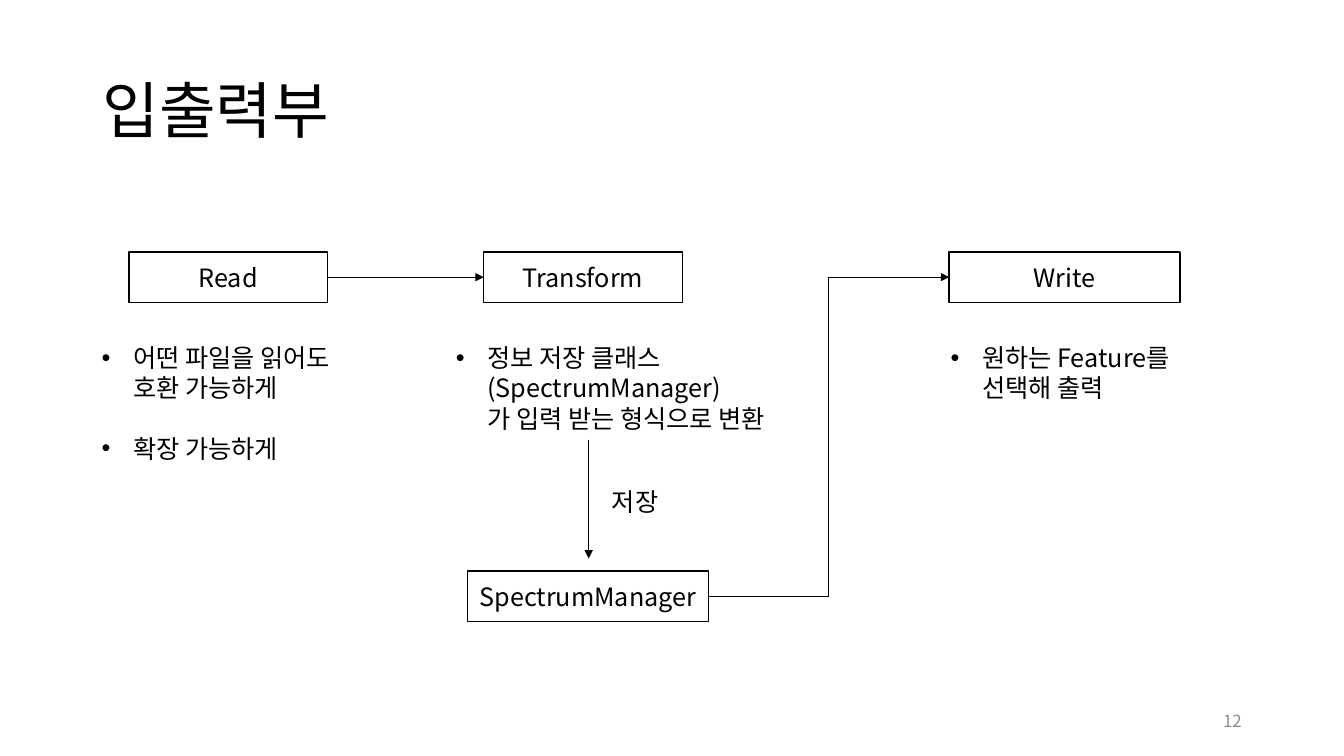
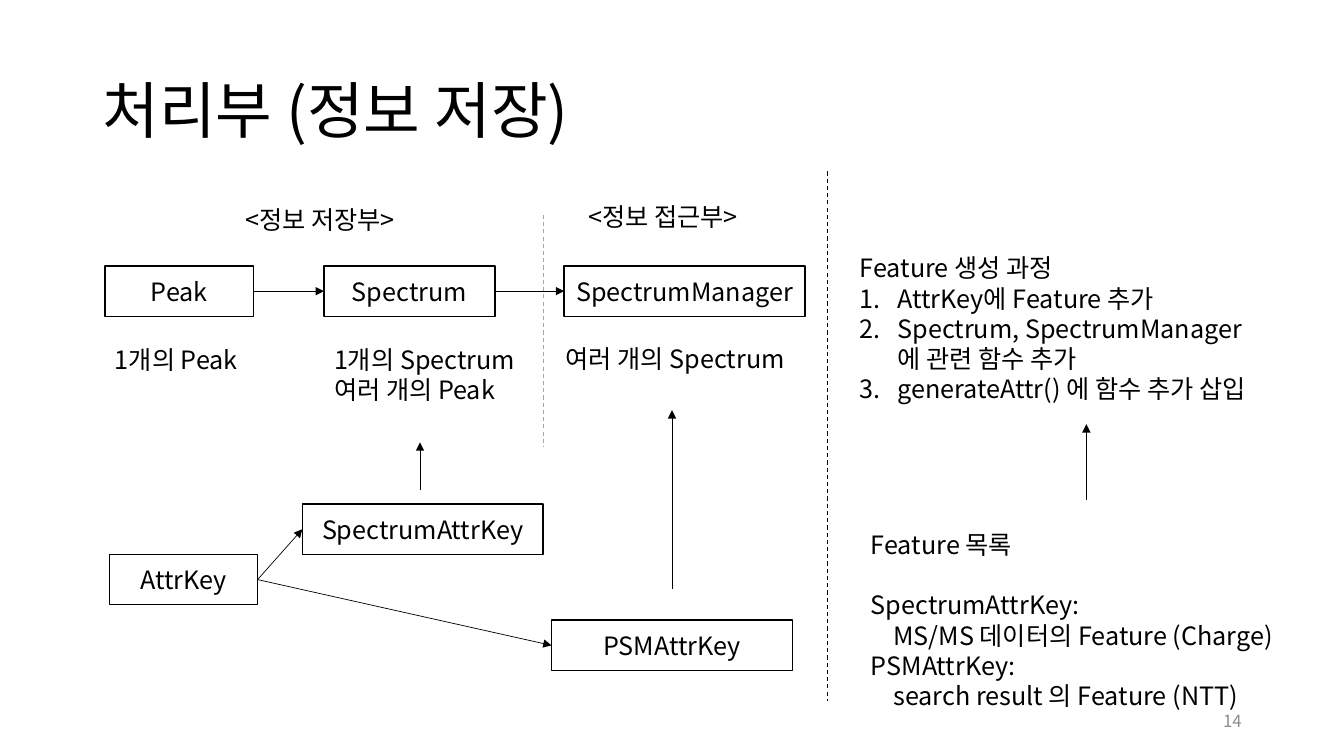
from lxml import etree
from pptx import Presentation
from pptx.dml.color import RGBColor
from pptx.enum.dml import MSO_LINE
from pptx.enum.shapes import MSO_CONNECTOR, MSO_SHAPE
from pptx.enum.text import MSO_ANCHOR, MSO_AUTO_SIZE, PP_ALIGN
from pptx.oxml.ns import qn
from pptx.util import Pt

STRAIGHT, ELBOW = MSO_CONNECTOR.STRAIGHT, MSO_CONNECTOR.ELBOW
RECT = MSO_SHAPE.RECTANGLE
DASH = MSO_LINE.DASH
MIDDLE = MSO_ANCHOR.MIDDLE
FIT_TEXT = MSO_AUTO_SIZE.SHAPE_TO_FIT_TEXT
LEFT, CENTER, RIGHT = PP_ALIGN.LEFT, PP_ALIGN.CENTER, PP_ALIGN.RIGHT
LEFT_SIDE, RIGHT_SIDE = 1, 3

COLORS = {"ink": "000000", "grey": "8C8C8C", "divider": "A5A5A5"}
FONT = "Noto Sans CJK KR"
TITLE_SIZE, TEXT_SIZE, NUMBER_SIZE = 44, 18, 12
LINE_HEIGHT = 1.2 * TEXT_SIZE
BOX_H = 36
MANAGER_W = 172
BULLET_INDENT, NUMBER_INDENT, SUB_INDENT = 22.5, 27, 16


def color(name):
    return RGBColor.from_string(COLORS[name])


def format_runs(p, size=TEXT_SIZE, ink="ink"):
    for r in p.runs:
        r.font.size = Pt(size)
        r.font.name = FONT
        r.font.color.rgb = color(ink)
        etree.SubElement(r._r.get_or_add_rPr(), qn("a:ea"), typeface=FONT)


def indent(p, left, hanging=0):
    pPr = p._p.get_or_add_pPr()
    pPr.set("marL", str(Pt(left)))
    pPr.set("indent", str(-Pt(hanging)))
    return pPr


def bullet(p):
    pPr = indent(p, BULLET_INDENT, BULLET_INDENT)
    etree.SubElement(pPr, qn("a:buFont"), typeface="Arial")
    etree.SubElement(pPr, qn("a:buChar"), char="•")


def number(p):
    pPr = indent(p, NUMBER_INDENT, NUMBER_INDENT)
    etree.SubElement(pPr, qn("a:buAutoNum"), type="arabicPeriod")


def sub_item(p):
    indent(p, SUB_INDENT)


def add_text(s, x, y, w, h, lines, styles=None, gap_before=()):
    """Add a text box; styles maps line indexes to paragraph functions,
    and gap_before lists the lines set one line height apart."""
    tf = s.shapes.add_textbox(Pt(x), Pt(y), Pt(w), Pt(h)).text_frame
    tf.word_wrap = True
    tf.auto_size = FIT_TEXT
    for i, line in enumerate(lines):
        p = tf.paragraphs[0] if i == 0 else tf.add_paragraph()
        p.text = line
        p.line_spacing = Pt(LINE_HEIGHT)
        if i in gap_before:
            p.space_before = Pt(LINE_HEIGHT)
        if styles and i in styles:
            styles[i](p)
        format_runs(p)


def add_bullets(s, x, w, h, lines, gap_before=()):
    styles = {i: bullet for i in range(len(lines))}
    add_text(s, x, 241, w, h, lines, styles, gap_before)


def add_box(s, x, y, w, label):
    sp = s.shapes.add_shape(RECT, Pt(x), Pt(y), Pt(w), Pt(BOX_H))
    sp.shadow.inherit = False
    sp.fill.background()
    sp.line.color.rgb = color("ink")
    sp.line.width = Pt(1)
    tf = sp.text_frame
    tf.margin_left = tf.margin_right = 0
    tf.vertical_anchor = MIDDLE
    tf.text = label
    p = tf.paragraphs[0]
    p.alignment = CENTER
    p.line_spacing = Pt(LINE_HEIGHT)
    format_runs(p)
    return sp


def add_line(s, x1, y1, x2, y2, ink="ink", width=0.75, kind=STRAIGHT):
    line = s.shapes.add_connector(kind, Pt(x1), Pt(y1), Pt(x2), Pt(y2))
    line.line.color.rgb = color(ink)
    line.line.width = Pt(width)
    etree.SubElement(line._element.spPr, qn("a:effectLst"))
    return line


def add_divider(s, x, top, bottom, ink):
    add_line(s, x, top, x, bottom, ink).line.dash_style = DASH


def add_arrow(s, x1, y1, x2, y2, kind=STRAIGHT):
    arrow = add_line(s, x1, y1, x2, y2, width=0.5, kind=kind)
    etree.SubElement(arrow.line._get_or_add_ln(), qn("a:tailEnd"), type="triangle")
    return arrow


def link(s, source, target, kind=STRAIGHT):
    """Join the right side of source to the left side of target."""
    arrow = add_arrow(s, 0, 0, 0, 0, kind)
    arrow.begin_connect(source, RIGHT_SIDE)
    arrow.end_connect(target, LEFT_SIDE)


def add_slide(prs, title, page):
    s = prs.slides.add_slide(prs.slide_layouts[5])
    sp = s.shapes.title
    sp.left, sp.top, sp.width, sp.height = Pt(66), Pt(29), Pt(828), Pt(104)
    tf = sp.text_frame
    tf.text = title
    tf.vertical_anchor = MIDDLE
    p = tf.paragraphs[0]
    p.alignment = LEFT
    p.line_spacing = 0.9
    format_runs(p, TITLE_SIZE)

    tf = s.shapes.add_textbox(Pt(678), Pt(500.5), Pt(216), Pt(29)).text_frame
    tf.word_wrap = True
    tf.vertical_anchor = MIDDLE
    tf.text = page
    p = tf.paragraphs[0]
    p.alignment = RIGHT
    format_runs(p, NUMBER_SIZE, "grey")
    return s


def build_io_slide(prs):
    s = add_slide(prs, "입출력부", "12")
    read = add_box(s, 92, 180, 142, "Read")
    transform = add_box(s, 345.5, 180, 142, "Transform")
    write = add_box(s, 678, 180, 165, "Write")
    manager = add_box(s, 334, 408, MANAGER_W, "SpectrumManager")

    add_bullets(s, 65.5, 196, 94,
                ["어떤 파일을 읽어도\n호환 가능하게", "확장 가능하게"], gap_before=(1,))
    add_bullets(s, 318.5, 263, 73,
                ["정보 저장 클래스\n(SpectrumManager)\n가 입력 받는 형식으로 변환"])
    add_bullets(s, 672, 177, 51, ["원하는 Feature를\n선택해 출력"])
    add_text(s, 430, 344, 51, 29, ["저장"])

    link(s, read, transform)
    add_arrow(s, 420.5, 314, 420.5, 399)
    link(s, manager, write, ELBOW)


def build_storage_slide(prs):
    s = add_slide(prs, "처리부 (정보 저장)", "14")
    peak = add_box(s, 75, 190, 106, "Peak")
    spectrum = add_box(s, 231.5, 190, 122, "Spectrum")
    manager = add_box(s, 403, 190, MANAGER_W, "SpectrumManager")
    attr_key = add_box(s, 78, 396, 106, "AttrKey")
    spectrum_key = add_box(s, 216, 360, MANAGER_W, "SpectrumAttrKey")
    psm_key = add_box(s, 394, 443, MANAGER_W, "PSMAttrKey")
    for source, target in ((peak, spectrum), (spectrum, manager),
                           (attr_key, spectrum_key), (attr_key, psm_key)):
        link(s, source, target)

    add_text(s, 168, 142.5, 137.5, 29, ["<정보 저장부>"])
    add_text(s, 413, 140.5, 137.5, 29, ["<정보 접근부>"])
    add_text(s, 75, 242.5, 105, 29, ["1개의 Peak"])
    add_text(s, 231.5, 242.5, 145.5, 51, ["1개의 Spectrum", "여러 개의 Peak"])
    add_text(s, 397, 242, 179, 29, ["여러 개의 Spectrum"])
    add_text(s, 607, 177, 310, 117,
             ["Feature 생성 과정", "AttrKey에 Feature 추가",
              "Spectrum, SpectrumManager\n에 관련 함수 추가",
              "generateAttr() 에 함수 추가 삽입"],
             {i: number for i in (1, 2, 3)})
    add_text(s, 615, 374.5, 323, 138,
             ["Feature 목록", "SpectrumAttrKey:", "MS/MS 데이터의 Feature (Charge)",
              "PSMAttrKey:", "search result 의 Feature (NTT)"],
             {2: sub_item, 4: sub_item}, gap_before=(1,))

    for x, bottom, top in ((300, 350, 316), (480, 420.5, 293), (776, 357, 303)):
        add_arrow(s, x, bottom, x, top)
    add_divider(s, 388, 153.5, 319, "divider")
    add_divider(s, 591, 122.5, 500.5, "ink")


def main():
    prs = Presentation()
    prs.slide_width, prs.slide_height = Pt(960), Pt(540)
    build_io_slide(prs)
    build_storage_slide(prs)
    prs.save("out.pptx")


if __name__ == "__main__":
    main()
